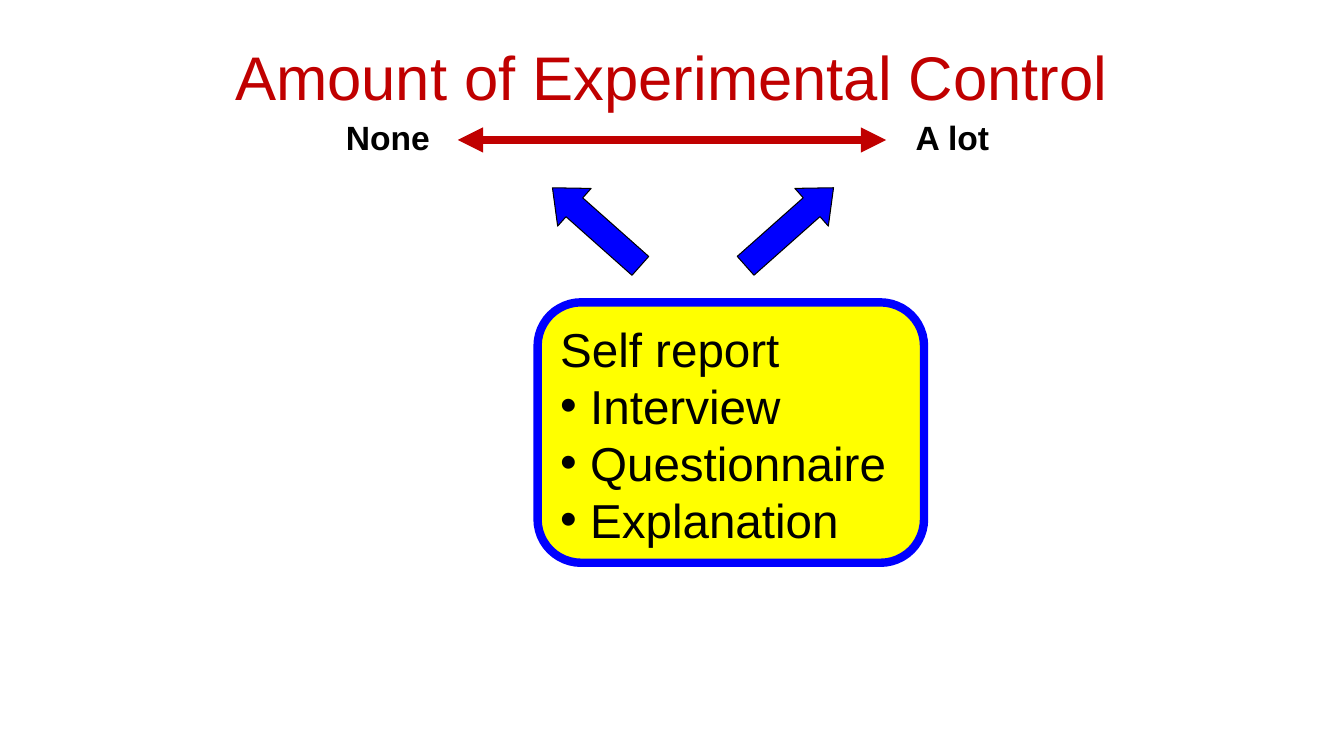
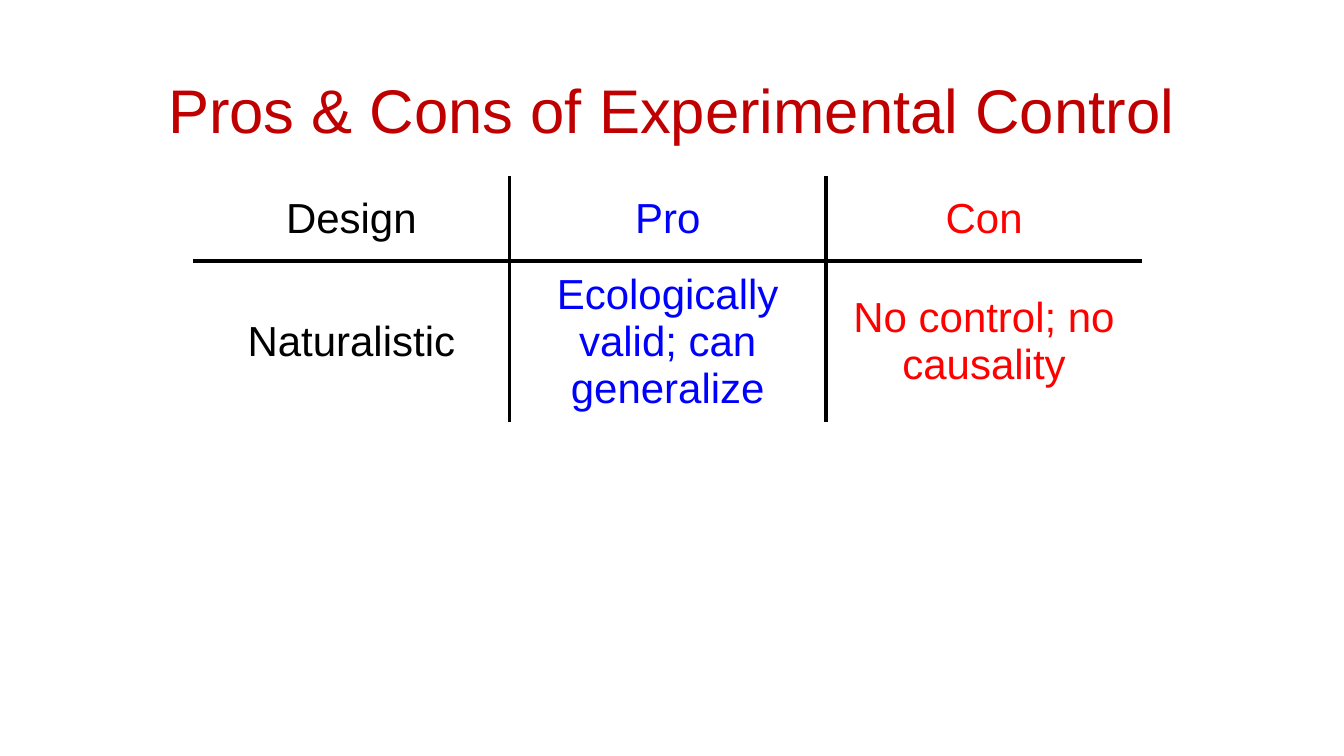
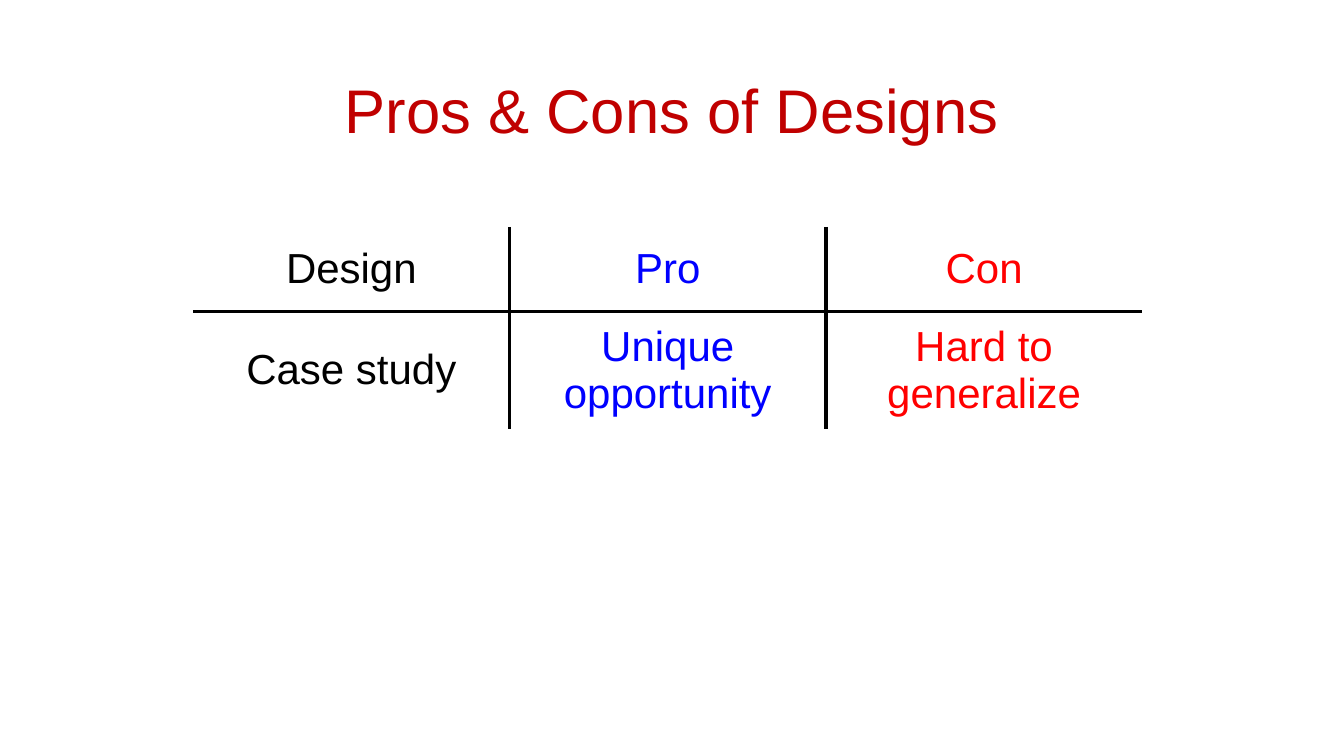
"""Build three slides on experimental control and the pros and cons of designs."""
import lxml.etree
import pptx
import pptx.dml.color
import pptx.enum.dml
import pptx.enum.shapes
import pptx.enum.text
import pptx.oxml
import pptx.oxml.ns
import pptx.util

Pt = pptx.util.Pt
qn = pptx.oxml.ns.qn
SHAPE = pptx.enum.shapes.MSO_SHAPE
ANCHOR = pptx.enum.text.MSO_ANCHOR
ALIGN = pptx.enum.text.PP_ALIGN
AUTO_SIZE = pptx.enum.text.MSO_AUTO_SIZE

FONT = "Arial"
COLORS = {
    "title": "C00000",
    "text": "000000",
    "pro": "0000FF",
    "con": "FF0000",
    "arrow": "0000FF",
    "panel": "FFFF00",
}
NO_GRID_STYLE = "{2D5ABB26-0587-4C30-8999-92F81FD0307C}"


def rgb(color):
    """Return the named colour."""
    return pptx.dml.color.RGBColor.from_string(COLORS[color])


def style(paragraph, size, color="text", bold=False):
    """Format every run of a paragraph."""
    for run in paragraph.runs:
        run.font.name = FONT
        run.font.size = Pt(size)
        run.font.bold = bold
        run.font.color.rgb = rgb(color)


def add_titled_slide(deck, title, top=28.8):
    """Add a title-only slide with the shared title style."""
    slide = deck.slides.add_slide(deck.slide_layouts[5])
    heading = slide.shapes.title
    heading.left, heading.top = Pt(66), Pt(top)
    heading.width, heading.height = Pt(828), Pt(104.4)
    frame = heading.text_frame
    frame.text = title
    frame.word_wrap = True
    frame.auto_size = AUTO_SIZE.NONE
    frame.vertical_anchor = ANCHOR.MIDDLE
    paragraph = frame.paragraphs[0]
    paragraph.alignment = ALIGN.CENTER
    paragraph.line_spacing = 0.9
    style(paragraph, 44, "title")
    return slide


def add_filled_shape(slide, kind, box, fill, line, line_width, adjustments):
    """Add a filled and outlined preset shape."""
    shape = slide.shapes.add_shape(kind, *map(Pt, box))
    shape.shadow.inherit = False
    for index, value in enumerate(adjustments):
        shape.adjustments[index] = value
    shape.fill.solid()
    shape.fill.fore_color.rgb = rgb(fill)
    shape.line.color.rgb = rgb(line)
    shape.line.width = Pt(line_width)
    return shape


def add_block_arrow(slide, left, rotation):
    """Add a rotated arrow that points at the scale."""
    arrow = add_filled_shape(slide, SHAPE.UP_ARROW, (left, 120, 36, 84),
                             "arrow", "text", 0.75, (0.5, 0.583))
    arrow.rotation = rotation


def add_bullet(paragraph, indent):
    """Give a paragraph a hanging bullet."""
    properties = paragraph._p.get_or_add_pPr()
    properties.set("marL", str(Pt(indent)))
    properties.set("indent", str(-Pt(indent)))
    lxml.etree.SubElement(properties, qn("a:buFont")).set("typeface", FONT)
    lxml.etree.SubElement(properties, qn("a:buChar")).set("char", "•")


def add_method_panel(slide, heading, methods):
    """Add the rounded panel with a heading and bulleted methods."""
    panel = add_filled_shape(slide, SHAPE.ROUNDED_RECTANGLE, (384, 216, 276, 186),
                             "panel", "arrow", 6, (0.167,))
    frame = panel.text_frame
    frame.word_wrap = True
    frame.vertical_anchor = ANCHOR.TOP
    frame.text = "\n".join([heading, *methods])
    for index, paragraph in enumerate(frame.paragraphs):
        paragraph.alignment = ALIGN.LEFT
        paragraph.line_spacing = Pt(40.7)
        if index:
            add_bullet(paragraph, 21.4)
        style(paragraph, 34)


def add_scale(slide, start, end, y):
    """Add the double-headed line of the control scale."""
    scale = slide.shapes.add_connector(
        pptx.enum.shapes.MSO_CONNECTOR.STRAIGHT, Pt(start), Pt(y), Pt(end), Pt(y))
    scale.line.color.rgb = rgb("title")
    scale.line.width = Pt(6)
    outline = scale.line._get_or_add_ln()
    for end_tag in ("a:headEnd", "a:tailEnd"):
        lxml.etree.SubElement(outline, qn(end_tag)).set("type", "triangle")
    lxml.etree.SubElement(scale._element.spPr, qn("a:effectLst"))


def add_scale_label(slide, text, left):
    """Add a bold label beside the scale."""
    label = slide.shapes.add_textbox(Pt(left), Pt(80), Pt(75), Pt(36))
    label.text_frame.word_wrap = False
    label.text_frame.text = text
    style(label.text_frame.paragraphs[0], 24, bold=True)


def add_border(cell, side):
    """Draw a 3 pt border on one side of a cell."""
    border = lxml.etree.SubElement(cell._tc.get_or_add_tcPr(), qn(f"a:ln{side}"))
    border.set("w", str(Pt(3)))
    fill = lxml.etree.SubElement(border, qn("a:solidFill"))
    lxml.etree.SubElement(fill, qn("a:srgbClr")).set("val", COLORS["text"])


def add_design_table(slide, top, row_heights, rows):
    """Add a table of designs that has inner borders only."""
    column_width = 226
    row_count, column_count = len(rows), len(rows[0])
    table = slide.shapes.add_table(
        row_count, column_count, Pt(138), Pt(top),
        Pt(column_width * column_count), Pt(sum(row_heights))).table
    table.first_row = table.horz_banding = False
    table._tbl.tblPr.find(qn("a:tableStyleId")).text = NO_GRID_STYLE
    for column in table.columns:
        column.width = Pt(column_width)
    for r, (height, texts) in enumerate(zip(row_heights, rows)):
        table.rows[r].height = Pt(height)
        for c, (text, color) in enumerate(zip(texts, ("text", "pro", "con"))):
            cell = table.cell(r, c)
            cell.text_frame.text = text
            cell.vertical_anchor = ANCHOR.MIDDLE
            paragraph = cell.text_frame.paragraphs[0]
            paragraph.alignment = ALIGN.CENTER
            style(paragraph, 30, color)
            inner_sides = {"L": c > 0, "R": c < column_count - 1,
                           "T": r > 0, "B": r < row_count - 1}
            for side, is_inner in inner_sides.items():
                if is_inner:
                    add_border(cell, side)
            cell.fill.background()


def build_control_slide(deck):
    """Build the slide that places self report on the control scale."""
    slide = add_titled_slide(deck, "Amount of Experimental Control", 27.4)
    slide.shapes.title.text_frame.vertical_anchor = ANCHOR.TOP
    slide.shapes.title.text_frame.margin_top = Pt(6.5)
    for left, rotation in ((408, 311.6), (546, 48.4)):
        add_block_arrow(slide, left, rotation)
    add_method_panel(slide, "Self report", ["Interview", "Questionnaire", "Explanation"])
    add_scale(slide, 327, 633, 100)
    for text, left in (("None", 240), ("A lot", 647)):
        add_scale_label(slide, text, left)


def main():
    """Build and save the deck."""
    deck = pptx.Presentation()
    deck.slide_width, deck.slide_height = Pt(960), Pt(540)
    build_control_slide(deck)
    header = ("Design", "Pro", "Con")
    designs = (
        ("Pros & Cons of Experimental Control", 126, 115,
         ("Naturalistic", "Ecologically valid; can generalize", "No control; no causality")),
        ("Pros & Cons of Designs", 162, 84,
         ("Case study", "Unique opportunity", "Hard to generalize")),
    )
    for title, top, height, design in designs:
        slide = add_titled_slide(deck, title)
        add_design_table(slide, top, (60.5, height), (header, design))
    deck.save("out.pptx")


if __name__ == "__main__":
    main()
